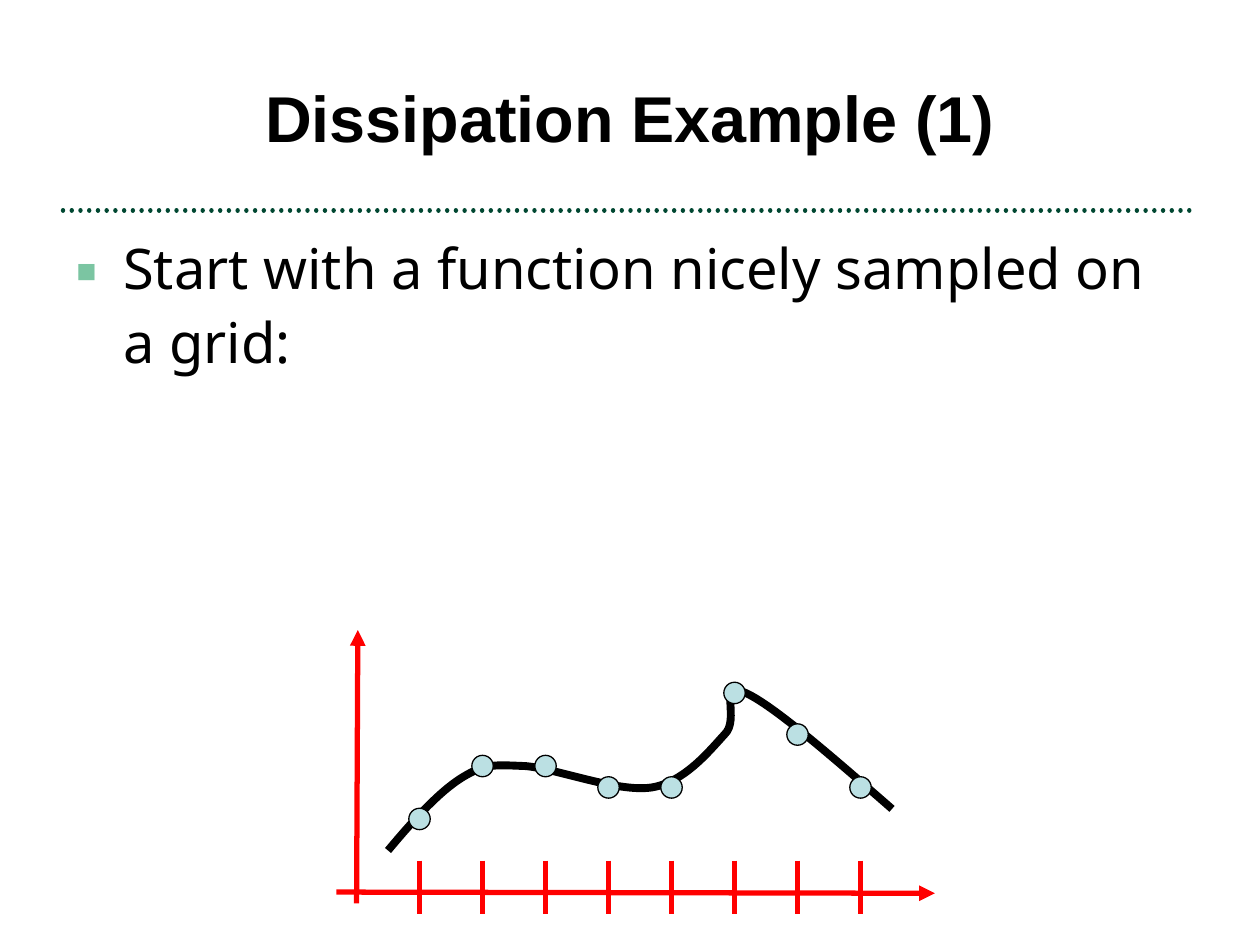
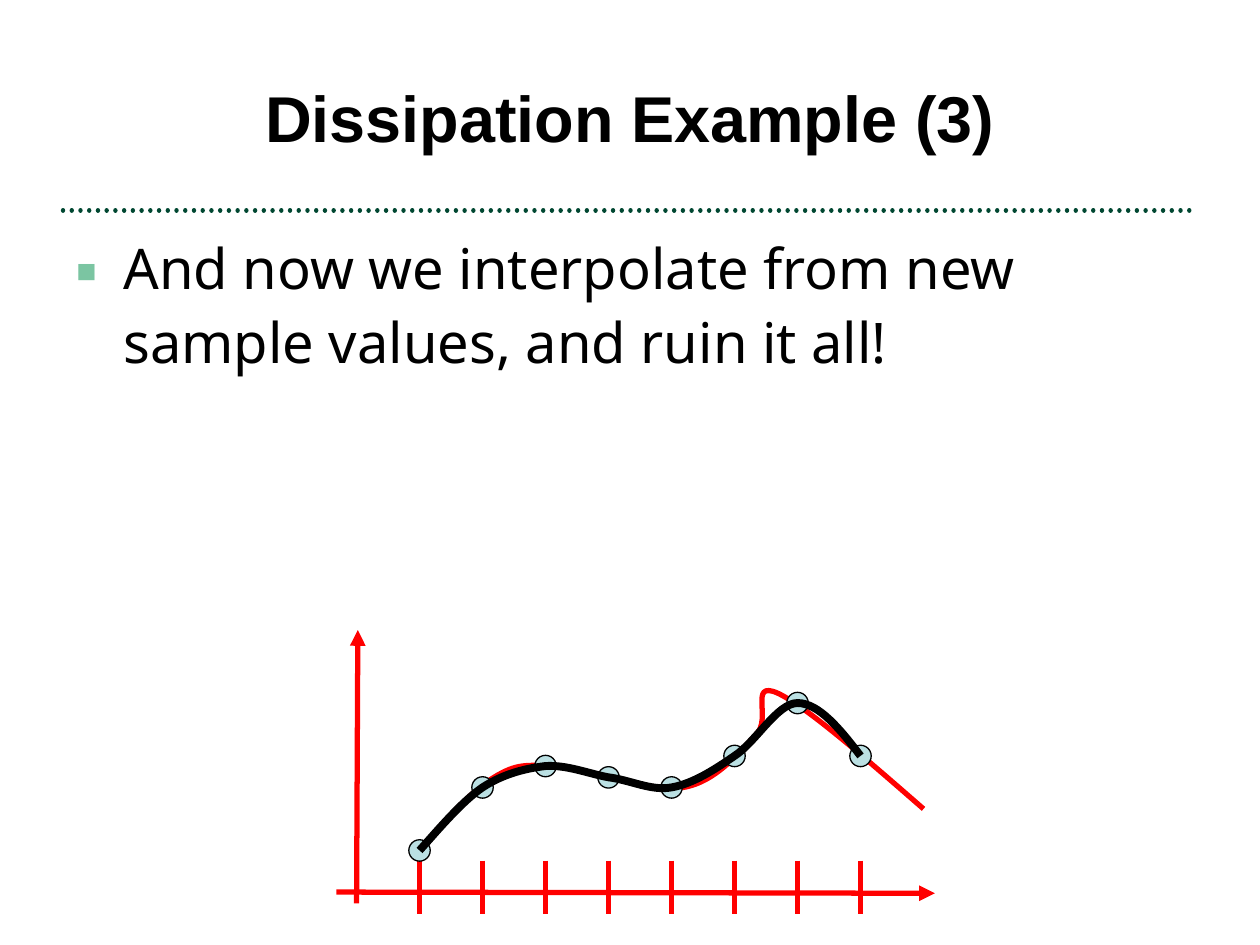
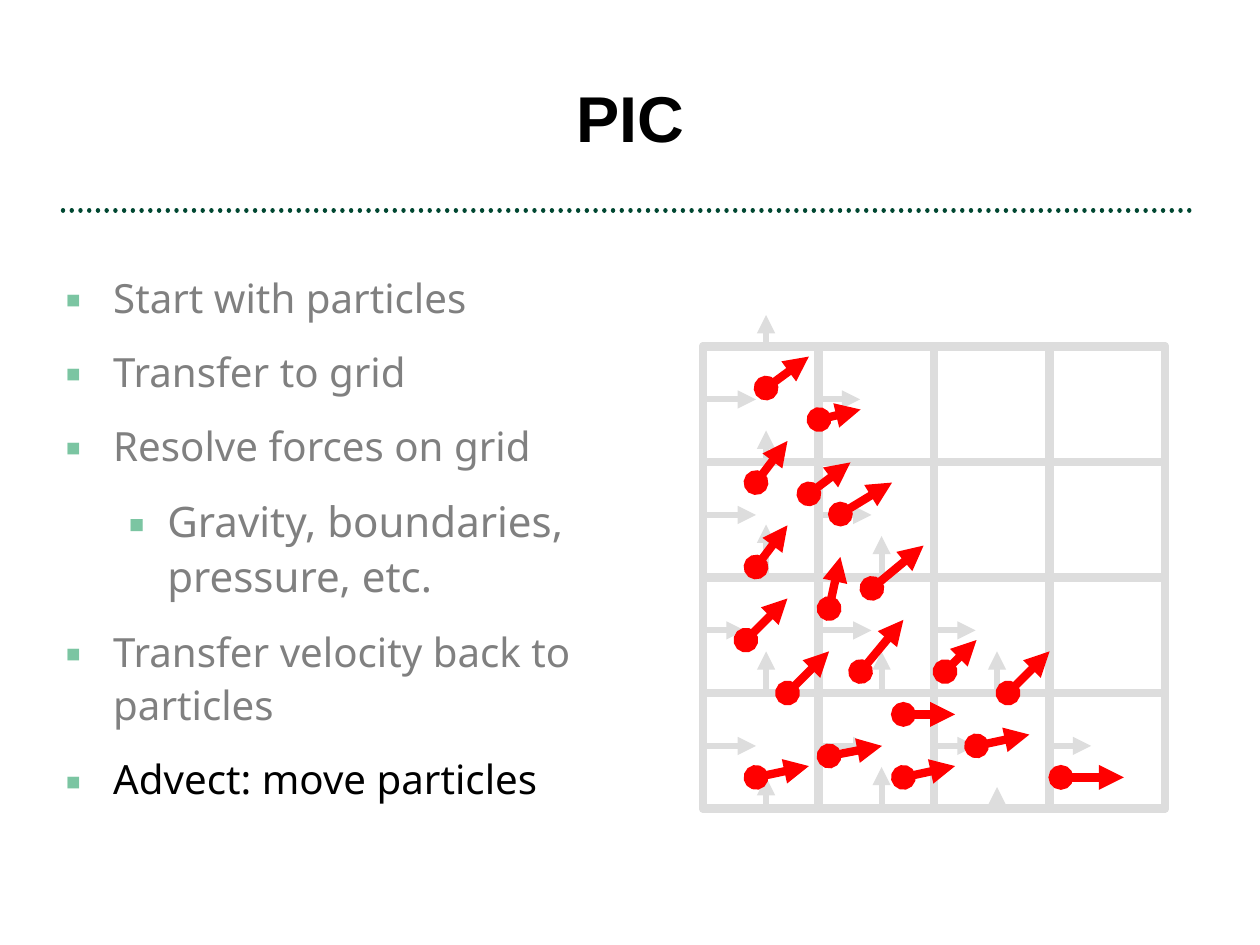
import pptx
import pptx.util
import pptx.dml.color
import pptx.enum.dml
import pptx.enum.shapes
import pptx.enum.text
import pptx.oxml
import pptx.oxml.ns
from dataclasses import dataclass
from lxml import etree

Inches, Pt = pptx.util.Inches, pptx.util.Pt
Shape = pptx.enum.shapes.MSO_SHAPE
qn = pptx.oxml.ns.qn


@dataclass(frozen=True)
class Theme:
    black: str = "000000"
    muted: str = "808080"
    red: str = "FF0000"
    rule: str = "004731"
    bullet: str = "7BC5A2"
    sample: str = "BBE0E3"
    grid: str = "DDDDDD"
    title_font: str = "Arial"
    body_font: str = "Noto Sans"
    title_size: float = 37
    body_size: float = 32
    step_size: float = 23
    substep_size: float = 24


THEME = Theme()
INDENTS = [(0.38, -0.38), (0.81, -0.31)]  # left margin, first line, by level

# Curves: a start point, then (control, control, end) triples
SMOOTH_FUNCTION = [
    (3.08, 6.75),
    (3.28, 6.51), (3.49, 6.28), (3.67, 6.17),
    (3.85, 6.06), (3.92, 6.07), (4.17, 6.08),
    (4.42, 6.10), (4.90, 6.29), (5.17, 6.25),
    (5.43, 6.21), (5.63, 5.96), (5.75, 5.83),
    (5.88, 5.71), (5.69, 5.40), (5.92, 5.50),
    (6.14, 5.60), (6.61, 6.01), (7.08, 6.42),
]
ADVECTED_FUNCTION = [(x + 0.25, y) for x, y in SMOOTH_FUNCTION]
INTERPOLATED = [
    (3.33, 6.75),
    (3.50, 6.56), (3.67, 6.36), (3.83, 6.25),
    (4.00, 6.14), (4.17, 6.10), (4.33, 6.08),
    (4.50, 6.07), (4.67, 6.14), (4.83, 6.17),
    (5.00, 6.19), (5.17, 6.28), (5.33, 6.25),
    (5.50, 6.22), (5.67, 6.11), (5.83, 6.00),
    (6.00, 5.89), (6.17, 5.58), (6.33, 5.58),
    (6.50, 5.58), (6.67, 5.79), (6.83, 6.00),
]

# Each plot: curves under the samples, sample heights, curves over the samples
PLOTS = [
    dict(title="Dissipation Example (1)",
         text="Start with a function nicely sampled on a grid:",
         under=[(SMOOTH_FUNCTION, THEME.black, 4.5)],
         samples=[6.5, 6.08, 6.08, 6.25, 6.25, 5.5, 5.83, 6.25],
         over=[]),
    dict(title="Dissipation Example (3)",
         text="And now we interpolate from new sample values, and ruin it all!",
         under=[(ADVECTED_FUNCTION, THEME.red, 3)],
         samples=[6.75, 6.25, 6.08, 6.17, 6.25, 6, 5.58, 6],
         over=[(INTERPOLATED, THEME.black, 4.5)]),
]
AXES = [((2.67, 7.08), (7.42, 7.09)), ((2.83, 7.17), (2.84, 5))]
FIRST_SAMPLE, SAMPLE_GAP, DOT = 3.33, 0.5, 0.17
TICK_TOP, TICK_BOTTOM = 6.83, 7.25

# text, level, size, colour
PIC_STEPS = [
    ("Start with particles", 0, THEME.step_size, THEME.muted),
    ("Transfer to grid", 0, THEME.step_size, THEME.muted),
    ("Resolve forces on grid", 0, THEME.step_size, THEME.muted),
    ("Gravity, boundaries, pressure, etc.", 1, THEME.substep_size, THEME.muted),
    ("Transfer velocity back to particles", 0, THEME.step_size, THEME.muted),
    ("Advect: move particles", 0, THEME.step_size, THEME.black),
]
GRID_LEFT, GRID_TOP, CELLS = 5.58, 2.75, 4
CELL = 11 / 12
# Arrow lengths by grid row, one for each column that has an arrow
RIGHTWARD = [[0.42, 0.33], [0.42, 0.42], [0.33, 0.42, 0.33], [0.42, 0.42, 0.33, 0.33]]
UPWARD = [[0.25], [0.25], [0.42, 0.33], [0.33, 0.33, 0.33], [0.25, 0.33, 0.17]]
PARTICLES = [
    ((6.08, 3.08), (6.42, 2.83)), ((6.5, 3.33), (6.83, 3.25)),
    ((6, 3.83), (6.25, 3.5)), ((6.42, 3.92), (6.75, 3.67)),
    ((6, 4.5), (6.25, 4.17)), ((6.58, 4.83), (6.67, 4.42)),
    ((6.92, 4.67), (7.33, 4.33)), ((6.67, 4.08), (7.08, 3.83)),
    ((5.92, 5.08), (6.25, 4.75)), ((6.25, 5.5), (6.58, 5.17)),
    ((6, 6.17), (6.42, 6.08)), ((6.58, 6), (7, 5.92)),
    ((6.83, 5.33), (7.17, 4.92)), ((7.17, 6.17), (7.58, 6.08)),
    ((7.17, 5.67), (7.58, 5.67)), ((7.5, 5.33), (7.75, 5.08)),
    ((7.75, 5.92), (8.17, 5.83)), ((8, 5.5), (8.33, 5.17)),
    ((8.42, 6.17), (8.92, 6.17)),
]


def rgb(color):
    return pptx.dml.color.RGBColor.from_string(color)


def style_line(shape, color, width):
    shape.line.color.rgb = rgb(color)
    shape.line.width = Pt(width)


def add_line(page, start, end, color, width, head=None, tail=None):
    """Draw a straight line; head and tail name the marks at start and end."""
    line = page.shapes.add_connector(
        pptx.enum.shapes.MSO_CONNECTOR.STRAIGHT, *map(Inches, (*start, *end)))
    style_line(line, color, width)
    outline = line.line._get_or_add_ln()
    for tag, mark in (("a:headEnd", head), ("a:tailEnd", tail)):
        if mark:
            etree.SubElement(outline, qn(tag), type=mark)
    etree.SubElement(line._element.spPr, qn("a:effectLst"))
    return line


def add_outline(page, kind, left, top, width, height, color, weight, fill=None):
    shape = page.shapes.add_shape(kind, *map(Inches, (left, top, width, height)))
    shape.shadow.inherit = False
    if fill:
        shape.fill.solid()
        shape.fill.fore_color.rgb = rgb(fill)
    else:
        shape.fill.background()
    style_line(shape, color, weight)


def add_curve(page, points, color, width):
    """Draw a Bezier curve: a freeform whose corners become control points."""
    corners = [(Inches(x), Inches(y)) for x, y in points]
    builder = page.shapes.build_freeform(*corners[0])
    builder.add_line_segments(corners[1:], close=False)
    curve = builder.convert_to_shape()
    curve.shadow.inherit = False
    curve.fill.background()
    style_line(curve, color, width)
    segments = list(curve._element.iter(qn("a:lnTo")))
    for first in range(0, len(segments), 3):
        bezier = etree.SubElement(segments[first].getparent(), qn("a:cubicBezTo"))
        for segment in segments[first:first + 3]:
            bezier.append(segment[0])
            segment.getparent().remove(segment)


def add_text_box(page, left, top, width, height):
    frame = page.shapes.add_textbox(*map(Inches, (left, top, width, height))).text_frame
    frame.word_wrap = True
    return frame


def set_font(para, name, size, color, bold=False):
    para.font.name = name
    para.font.size = Pt(size)
    para.font.color.rgb = rgb(color)
    para.font.bold = bold


def add_bullets(page, area, items):
    frame = add_text_box(page, *area)
    for index, (text, level, size, color) in enumerate(items):
        para = frame.add_paragraph() if index else frame.paragraphs[0]
        para.text = text
        para.level = level
        para.line_spacing = 1.1
        para.space_before = Pt(6 if index else 0)
        para.space_after = Pt(6)
        properties = para._p.get_or_add_pPr()
        margin, first_line = INDENTS[level]
        properties.set("marL", str(Inches(margin)))
        properties.set("indent", str(Inches(first_line)))
        bullet_color = etree.SubElement(properties, qn("a:buClr"))
        etree.SubElement(bullet_color, qn("a:srgbClr"), val=THEME.bullet)
        etree.SubElement(properties, qn("a:buFont"), typeface=THEME.body_font)
        etree.SubElement(properties, qn("a:buChar"), char="▪")
        set_font(para, THEME.body_font, size, color)


def add_page(deck, title):
    """Add a slide with the shared title and dotted rule."""
    page = deck.slides.add_slide(deck.slide_layouts[6])
    rule = add_line(page, (0.5, 1.67), (9.5, 1.67), THEME.rule, 2.5)
    rule.line.dash_style = pptx.enum.dml.MSO_LINE.ROUND_DOT
    rule.line._get_or_add_ln().set("cap", "rnd")
    frame = add_text_box(page, 0.5, 0.3, 9, 1.25)
    frame.vertical_anchor = pptx.enum.text.MSO_ANCHOR.MIDDLE
    para = frame.paragraphs[0]
    para.text = title
    para.alignment = pptx.enum.text.PP_ALIGN.CENTER
    set_font(para, THEME.title_font, THEME.title_size, THEME.black, bold=True)
    return page


def add_plot_page(deck, plot):
    page = add_page(deck, plot["title"])
    add_bullets(page, (0.5, 1.75, 9, 3.31),
                [(plot["text"], 0, THEME.body_size, THEME.black)])
    for start, end in AXES:
        add_line(page, start, end, THEME.red, 3, tail="triangle")
    samples = [(FIRST_SAMPLE + index * SAMPLE_GAP, y)
               for index, y in enumerate(plot["samples"])]
    for x, _ in samples:
        add_line(page, (x, TICK_TOP), (x, TICK_BOTTOM), THEME.red, 3)
    for curve in plot["under"]:
        add_curve(page, *curve)
    for x, y in samples:
        add_outline(page, Shape.OVAL, x - DOT / 2, y - DOT / 2, DOT, DOT,
                    THEME.black, 0.75, fill=THEME.sample)
    for curve in plot["over"]:
        add_curve(page, *curve)


def add_pic_page(deck):
    page = add_page(deck, "PIC")
    add_bullets(page, (0.42, 2.08, 4.58, 5.17), PIC_STEPS)
    side = CELLS * CELL
    for index in range(CELLS):
        offset = index * CELL
        add_outline(page, Shape.RECTANGLE, GRID_LEFT, GRID_TOP + offset, side, CELL,
                    THEME.grid, 4.75)
        add_outline(page, Shape.RECTANGLE, GRID_LEFT + offset, GRID_TOP, CELL, side,
                    THEME.grid, 4.75)
    for row, lengths in enumerate(RIGHTWARD):
        y = GRID_TOP + 0.42 + row * CELL
        for column, length in enumerate(lengths):
            x = GRID_LEFT + column * CELL
            add_line(page, (x, y), (x + length, y), THEME.grid, 3.5, tail="triangle")
    for row, lengths in enumerate(UPWARD):
        y = GRID_TOP + row * CELL
        for column, length in enumerate(lengths):
            x = GRID_LEFT + 0.5 + column * CELL
            add_line(page, (x, y), (x, y - length), THEME.grid, 3.5, tail="triangle")
    for start, end in PARTICLES:
        add_line(page, start, end, THEME.red, 4.75, head="oval", tail="triangle")


def main():
    deck = pptx.Presentation()
    deck.slide_width, deck.slide_height = Inches(10), Inches(7.5)
    for plot in PLOTS:
        add_plot_page(deck, plot)
    add_pic_page(deck)
    deck.save("out.pptx")


if __name__ == "__main__":
    main()
